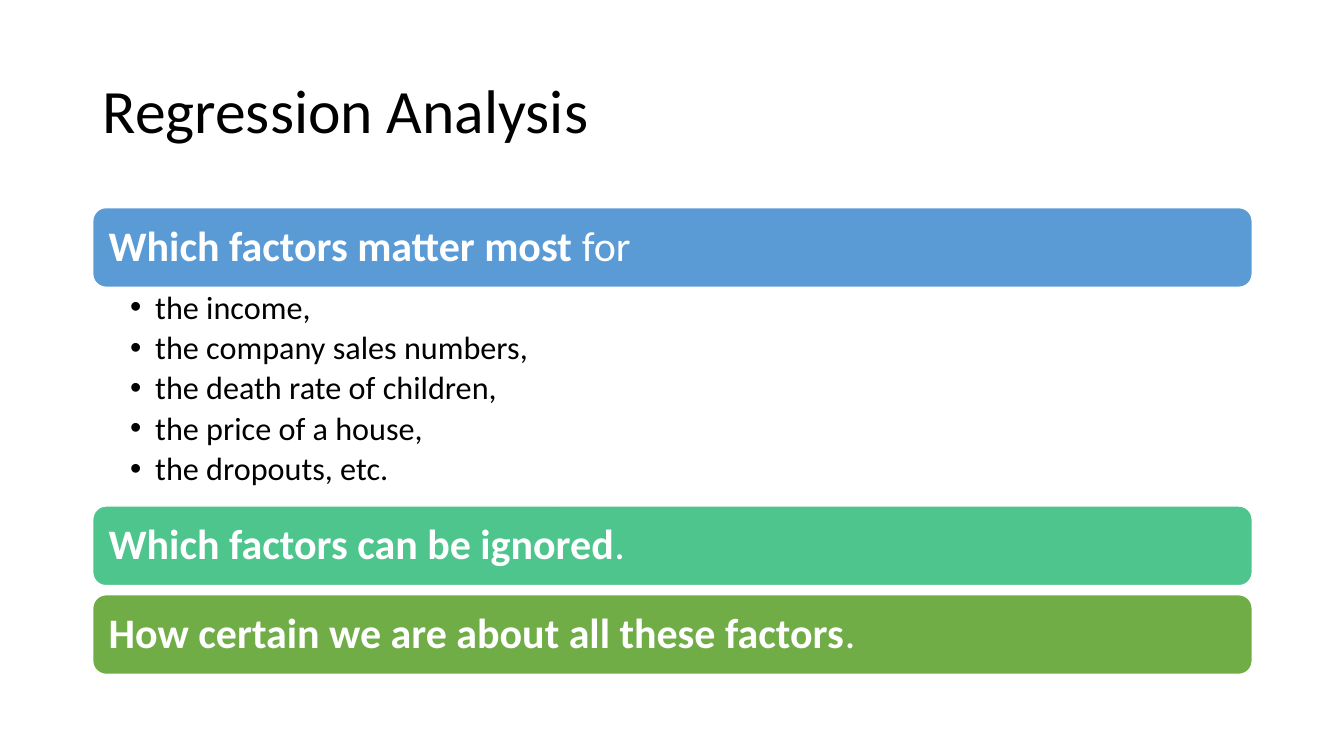
from lxml.etree import SubElement
from pptx import Presentation
from pptx.dml.color import RGBColor
from pptx.enum.shapes import MSO_SHAPE
from pptx.enum.text import MSO_ANCHOR, PP_ALIGN
from pptx.oxml.ns import qn
from pptx.util import Inches, Pt

LEFT, WIDTH, BAR_HEIGHT = 0.92, 11.5, 0.79
QUESTIONS = [
    (2.06, "5B9BD5", "Which factors matter most", " for"),
    (5.02, "4DC58D", "Which factors can be ignored", "."),
    (5.9, "70AD47", "How certain we are about all these factors", "."),
]
OUTCOMES = [
    "the income,",
    "the company sales numbers,",
    "the death rate of children,",
    "the price of a house,",
    "the dropouts, etc.",
]


def color(value):
    return RGBColor.from_string(value)


def apply(target, values):
    for name, value in values.items():
        setattr(target, name, value)


class SlideBuilder:
    font_name = "Calibri"
    white, black = "FFFFFF", "000000"

    def __init__(self, page):
        self.page = page

    def frame(self, shape, anchor, insets):
        left, top, right, bottom = map(Inches, insets)
        apply(shape.text_frame, dict(
            word_wrap=True, vertical_anchor=anchor, margin_left=left,
            margin_top=top, margin_right=right, margin_bottom=bottom))
        return shape.text_frame

    def box(self, top, height, anchor, insets):
        shape = self.page.shapes.add_textbox(
            Inches(LEFT), Inches(top), Inches(WIDTH), Inches(height))
        return self.frame(shape, anchor, insets)

    def span(self, para, text, size, ink, bold=False):
        span = para.add_run()
        span.text = text
        apply(span.font, dict(name=self.font_name, size=Pt(size), bold=bold))
        span.font.color.rgb = color(ink)

    def title(self, text):
        frame = self.box(0.4, 1.45, MSO_ANCHOR.MIDDLE, (0.1, 0.05, 0.1, 0.05))
        para = frame.paragraphs[0]
        para.line_spacing = 0.9
        self.span(para, text, 44, self.black)

    def bar(self, top, fill, strong, rest):
        shape = self.page.shapes.add_shape(
            MSO_SHAPE.ROUNDED_RECTANGLE, Inches(LEFT), Inches(top),
            Inches(WIDTH), Inches(BAR_HEIGHT))
        shape.shadow.inherit = False
        shape.fill.solid()
        shape.fill.fore_color.rgb = color(fill)
        shape.line.color.rgb = color(self.white)
        shape.line.width = Pt(1)
        frame = self.frame(shape, MSO_ANCHOR.MIDDLE, (0.12,) * 4)
        para = frame.paragraphs[0]
        apply(para, dict(alignment=PP_ALIGN.LEFT, line_spacing=0.9))
        self.span(para, strong, 30, self.white, bold=True)
        self.span(para, rest, 30, self.white)

    def bullets(self, top, height, items):
        frame = self.box(top, height, MSO_ANCHOR.TOP, (0.37, 0.04, 0.23, 0.04))
        for index, item in enumerate(items):
            para = frame.add_paragraph() if index else frame.paragraphs[0]
            apply(para, dict(line_spacing=0.9, space_after=Pt(4)))
            properties = para._p.get_or_add_pPr()
            properties.set("marL", str(Inches(0.25)))
            properties.set("indent", str(-Inches(0.25)))
            SubElement(properties, qn("a:buFont"), typeface="Arial")
            SubElement(properties, qn("a:buChar"), char="•")
            self.span(para, item, 23, self.black)


def main():
    deck = Presentation()
    apply(deck, dict(slide_width=Inches(13.33), slide_height=Inches(7.5)))
    builder = SlideBuilder(deck.slides.add_slide(deck.slide_layouts[6]))
    builder.title("Regression Analysis")
    for question in QUESTIONS:
        builder.bar(*question)
    builder.bullets(2.85, 2.17, OUTCOMES)
    deck.save("out.pptx")


if __name__ == "__main__":
    main()
